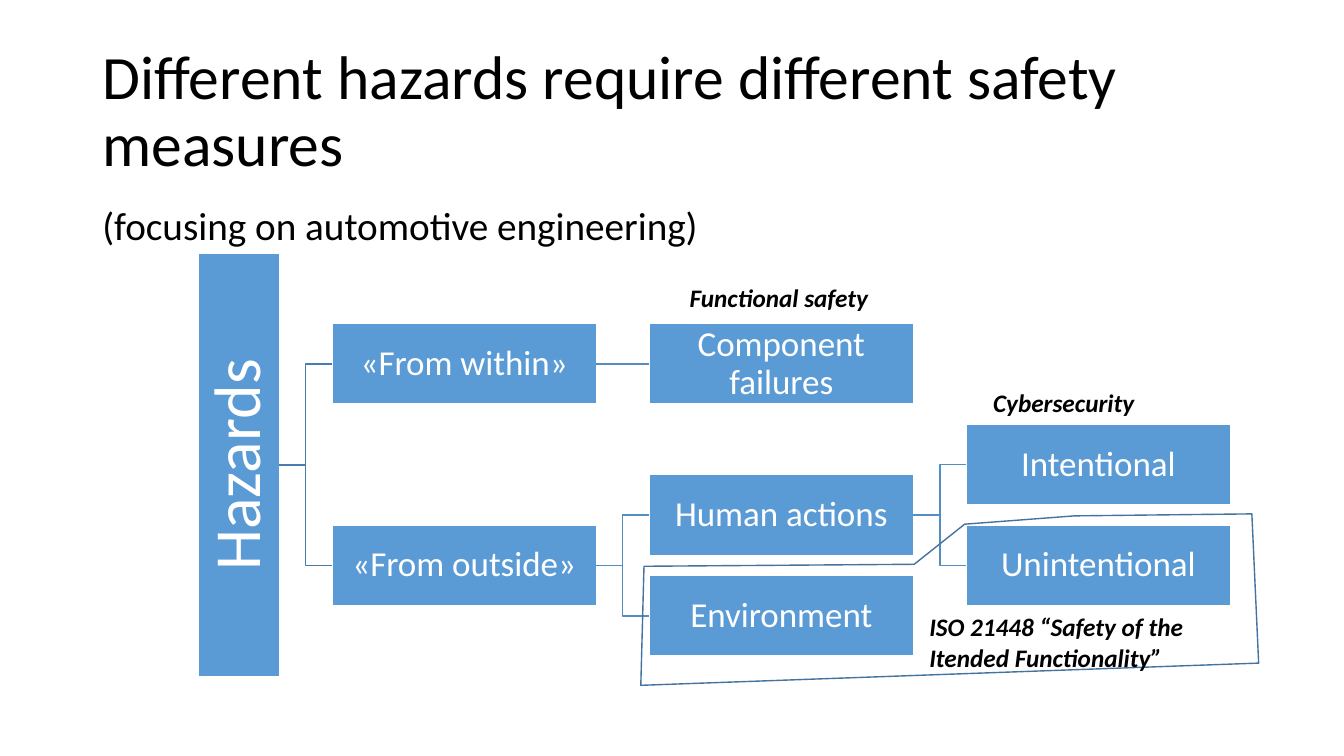
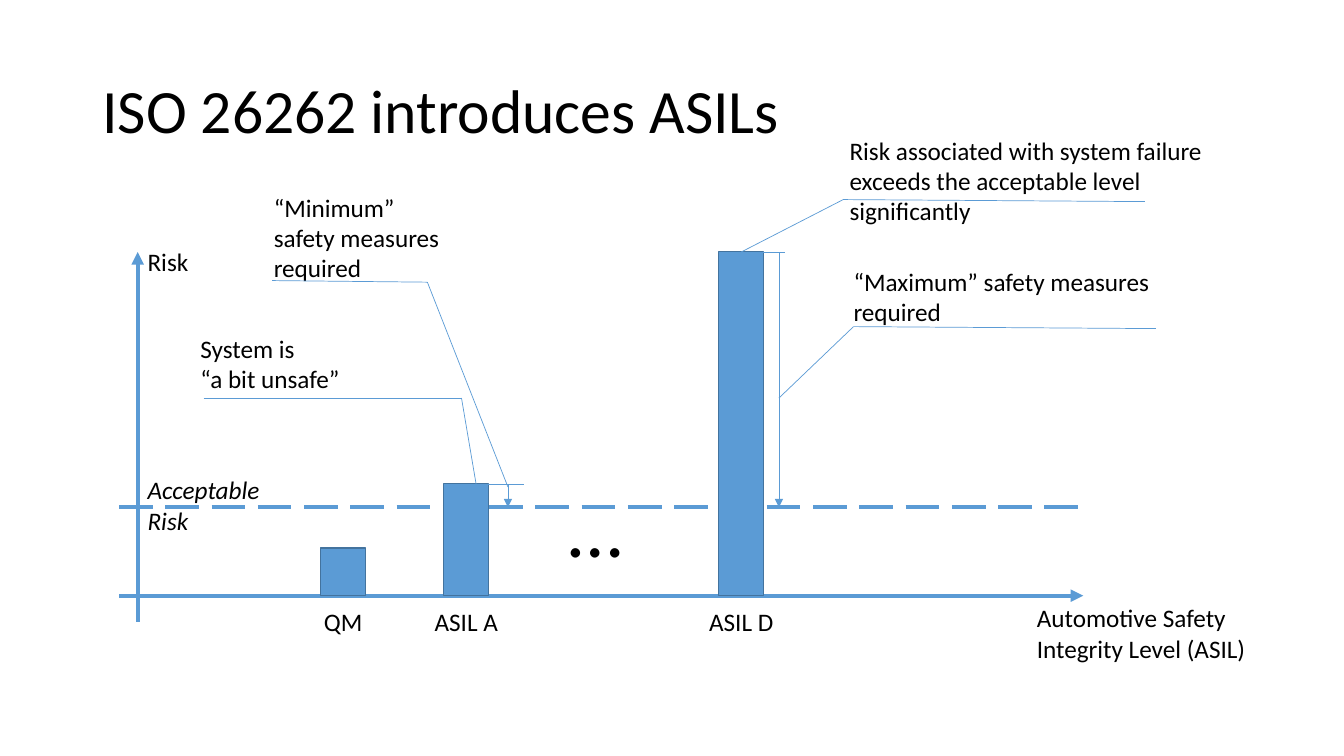
from dataclasses import dataclass

from lxml.etree import SubElement
from pptx import Presentation
from pptx.dml.color import RGBColor
from pptx.enum.dml import MSO_LINE
from pptx.enum.shapes import MSO_CONNECTOR as Link, MSO_SHAPE as Preset
from pptx.enum.text import MSO_ANCHOR as Anchor, MSO_AUTO_SIZE as AutoSize, PP_ALIGN as Align
from pptx.oxml.ns import qn
from pptx.util import Cm, Pt


@dataclass(frozen=True)
class Theme:
    """Colours, font and type sizes of the deck."""
    font: str = "Calibri"
    text: str = "000000"
    inverse: str = "FFFFFF"
    accent: str = "5B9BD5"
    outline: str = "43739E"
    trunk: str = "497CAB"
    branch: str = "538DC1"
    title: int = 44
    subtitle: int = 28
    root: int = 47
    node: int = 25
    label: int = 18
    ellipsis: int = 56
    axis_line: float = 3
    thin_line: float = 0.5


THEME = Theme()


@dataclass(frozen=True)
class Box:
    """A region of the page in centimetres."""
    left: float
    top: float
    width: float
    height: float

    def at(self, x, y):
        """Return the page point lying x, y from the corner of the box."""
        return self.left + x, self.top + y

    def inner(self, x, y, width, height):
        """Return a box placed relative to this one."""
        return Box(*self.at(x, y), width, height)

    def emu(self):
        """Return left, top, width and height as lengths."""
        return [Cm(v) for v in (self.left, self.top, self.width, self.height)]


@dataclass(frozen=True)
class Node:
    """A box of the hazard tree; a leaf has a row of its own."""
    text: str
    children: tuple = ()
    leaf_row: float = 0

    def row(self):
        """Return the row, which for a parent is the mean of its children."""
        if not self.children:
            return self.leaf_row
        return sum(child.row() for child in self.children) / len(self.children)


PAGE = Box(0, 0, 33.87, 19.05)
TITLE = Box(2.33, 1.01, 29.21, 3.68)
SUBTITLE = Box(2.33, 5.08, 29.21, 1.3)
TREE = Box(5.01, 6.38, 26.01, 10.67)
CHART = Box(3, 6.35, 24.3, 8.66)

HAZARDS = Node("Hazards", (
    Node("«From within»", (Node("Component failures", leaf_row=0),)),
    Node("«From outside»", (
        Node("Human actions", (
            Node("Intentional", leaf_row=2),
            Node("Unintentional", leaf_row=4))),
        Node("Environment", leaf_row=5))),
))
MEASURES = [
    ("Functional safety", 12.12, 0.61),
    ("Cybersecurity", 19.77, 3.25),
    ("ISO 21448 “Safety of the\vItended Functionality”", 18.16, 8.91),
]
SOTIF_OUTLINE = [(22.07, 6.62), (19.3, 6.83), (18.03, 7.84), (11.22, 7.89),
                 (11.14, 10.89), (26.71, 10.33), (26.54, 6.57)]
BARS = [("QM", 5.08, 1.2), ("ASIL A", 8.18, 2.81), ("ASIL D", 15.11, 8.66)]
CALLOUTS = [
    ("System is\v“a bit unsafe”", (1.8, 1.93), (2.13, 3.68), (8.63, 3.68), (9.07, 6.27)),
    ("“Minimum”\vsafety measures\vrequired",
     (3.65, -1.63), (3.86, 0.72), (7.77, 0.76), (9.8, 5.92)),
    ("Risk associated with system failure\vexceeds the acceptable level\vsignificantly",
     (18.16, -3.07), (25.85, -1.27), (18.25, -1.32), "ASIL D"),
    ("“Maximum” safety measures\vrequired",
     (18.26, 0.23), (26.13, 1.93), (18.51, 1.88), (16.63, 3.68)),
]


def rgb(value):
    """Turn a hex string into a colour."""
    return RGBColor.from_string(value)


def write(frame, text, size, color=THEME.text, align=Align.LEFT, bold=False,
          italic=False, spacing=None):
    """Fill a text frame with evenly styled paragraphs."""
    frame.word_wrap = True
    frame.text = text
    for para in frame.paragraphs:
        para.alignment = align
        para.line_spacing = spacing
        font = para.font
        font.name, font.size, font.color.rgb = THEME.font, Pt(size), rgb(color)
        font.bold, font.italic = bold, italic


def add_text(page, box, text, size=THEME.label, **style):
    """Add a text box."""
    write(page.shapes.add_textbox(*box.emu()).text_frame, text, size, **style)


def add_rect(page, box, line_color):
    """Add an accent-filled rectangle."""
    rect = page.shapes.add_shape(Preset.RECTANGLE, *box.emu())
    rect.shadow.inherit = False
    rect.fill.solid()
    rect.fill.fore_color.rgb = rgb(THEME.accent)
    rect.line.color.rgb = rgb(line_color)
    rect.line.width = Pt(1)
    return rect


def add_line(page, start, end, width=THEME.thin_line, color=THEME.accent,
             kind=Link.STRAIGHT, arrow=False, dash=None):
    """Add a connector between two page points."""
    line = page.shapes.add_connector(kind, *(Cm(v) for v in (*start, *end)))
    line.line.color.rgb = rgb(color)
    line.line.width = Pt(width)
    if dash:
        line.line.dash_style = dash
    properties = line._element.spPr
    if arrow:
        SubElement(properties.find(qn("a:ln")), qn("a:tailEnd"), type="triangle")
    SubElement(properties, qn("a:effectLst"))
    return line


def add_page(deck, title):
    """Add a title-only page with its title set."""
    page = deck.slides.add_slide(deck.slide_layouts[5])
    holder = page.shapes.title
    holder.left, holder.top, holder.width, holder.height = TITLE.emu()
    write(holder.text_frame, title, THEME.title, spacing=0.9)
    holder.text_frame.vertical_anchor = Anchor.MIDDLE
    holder.text_frame.auto_size = AutoSize.NONE
    return page


def draw_node(page, box, node, depth=0):
    """Draw a node and its subtree, and return its rectangle."""
    height, gap, node_width, first_row, row_step = 2.03, 1.33, 6.66, 2.79, 1.27
    is_root = depth == 0
    if is_root:
        place = box.inner(0, 0, height, box.height)
    else:
        x = height + gap + (depth - 1) * (node_width + gap)
        y = first_row + node.row() * row_step - height / 2
        place = box.inner(x, y, node_width, height)
    rect = add_rect(page, place, THEME.inverse)
    frame = rect.text_frame
    frame.margin_left = frame.margin_right = frame.margin_top = frame.margin_bottom = Cm(0.05)
    frame.vertical_anchor = Anchor.MIDDLE
    write(frame, node.text, THEME.root if is_root else THEME.node, THEME.inverse,
          Align.CENTER, spacing=0.9)
    if is_root:
        frame._txBody.bodyPr.set("vert", "vert270")
    for child in node.children:
        target = draw_node(page, box, child, depth + 1)
        kind = Link.STRAIGHT if child.row() == node.row() else Link.ELBOW
        color = THEME.trunk if is_root else THEME.branch
        line = add_line(page, box.at(0, 0), box.at(1, 1), 1, color, kind)
        line.begin_connect(rect, 3)
        line.end_connect(target, 1)
    return rect


def draw_measures(page, box):
    """Draw the outline and the names of the safety measures over the tree."""
    first, *rest = [tuple(Cm(v) for v in box.at(*point)) for point in SOTIF_OUTLINE]
    builder = page.shapes.build_freeform(*first)
    builder.add_line_segments(rest, close=True)
    outline = builder.convert_to_shape()
    outline.shadow.inherit = False
    outline.fill.background()
    outline.line.color.rgb = rgb(THEME.outline)
    outline.line.width = Pt(1)
    for text, x, y in MEASURES:
        add_text(page, box.inner(x, y, 7.5, 1), text, bold=True, italic=True)


def draw_axes(page, box):
    """Draw both axes, the acceptable level and their labels."""
    base, level, axis_x = box.height, 6.43, 0.47
    axis = {"width": THEME.axis_line}
    add_line(page, box.at(axis_x, base + 0.66), box.at(axis_x, 0), arrow=True, **axis)
    add_line(page, box.at(0, base), box.at(box.width, base), arrow=True, **axis)
    add_line(page, box.at(0, level), box.at(box.width, level), dash=MSO_LINE.LONG_DASH, **axis)
    add_text(page, box.inner(axis_x, -0.28, 2, 1), "Risk")
    add_text(page, box.inner(axis_x, 5.49, 3.8, 1.8), "Acceptable\vRisk", italic=True)
    add_text(page, box.inner(22.88, base + 0.05, 6.4, 1.8),
             "Automotive Safety\nIntegrity Level (ASIL)")
    add_text(page, box.inner(11.07, 5.61, 2.2, 2.64), "…", THEME.ellipsis)
    return level


def draw_bars(page, box):
    """Draw the risk bars with their names, and return them by name."""
    width, label_width = 1.14, 2.6
    bars = {}
    for name, x, height in BARS:
        bars[name] = add_rect(page, box.inner(x, box.height - height, width, height),
                              THEME.outline)
        label = box.inner(x + (width - label_width) / 2, box.height + 0.15, label_width, 1)
        add_text(page, label, name, align=Align.CENTER)
    return bars


def draw_reductions(page, box, level):
    """Draw the arrows from the bar tops down to the acceptable level."""
    for (_, x, height), tick_end, arrow_x in zip(BARS[1:], (10.21, 16.79), (9.8, 16.63)):
        top = box.height - height
        add_line(page, box.at(x, top), box.at(tick_end, top))
        add_line(page, box.at(arrow_x, top), box.at(arrow_x, level), arrow=True)


def draw_callouts(page, box, bars):
    """Draw each callout as a text, an underline and a pointer."""
    for text, corner, far, elbow, tip in CALLOUTS:
        add_text(page, box.inner(*corner, 10, 1.8), text)
        add_line(page, box.at(*far), box.at(*elbow))
        if tip in bars:
            add_line(page, box.at(*elbow), box.at(0, 0)).end_connect(bars[tip], 0)
        else:
            add_line(page, box.at(*elbow), box.at(*tip))


def hazards_page(deck):
    """Build the page with the hazard tree."""
    page = add_page(deck, "Different hazards require different safety measures")
    add_text(page, SUBTITLE, "(focusing on automotive engineering)", THEME.subtitle, spacing=0.9)
    draw_node(page, TREE, HAZARDS)
    draw_measures(page, TREE)


def levels_page(deck):
    """Build the page with the integrity levels."""
    page = add_page(deck, "ISO 26262 introduces ASILs")
    level = draw_axes(page, CHART)
    bars = draw_bars(page, CHART)
    draw_reductions(page, CHART, level)
    draw_callouts(page, CHART, bars)


def main():
    """Build and save the deck."""
    deck = Presentation()
    deck.slide_width, deck.slide_height = Cm(PAGE.width), Cm(PAGE.height)
    hazards_page(deck)
    levels_page(deck)
    deck.save("out.pptx")


if __name__ == "__main__":
    main()
